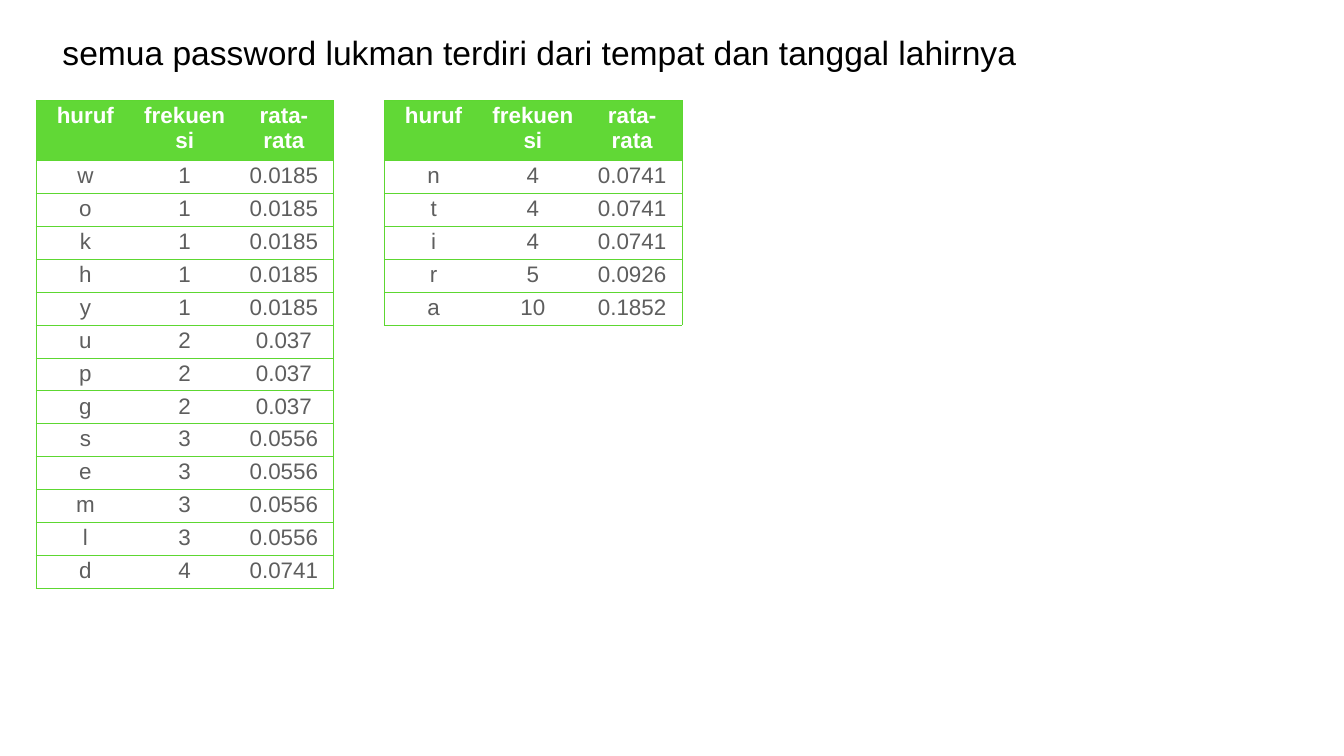
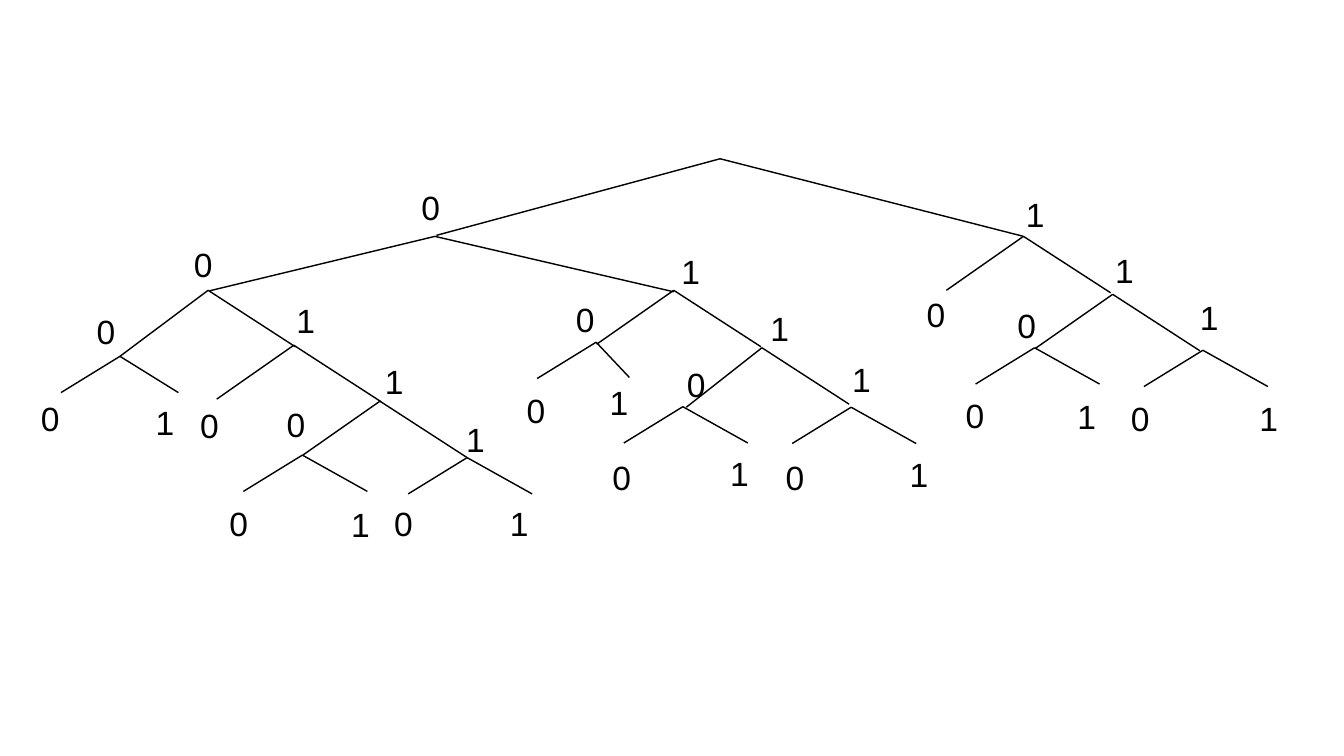
"""Build a letter-frequency slide and a binary code tree slide."""
from lxml import etree
from pptx import Presentation
from pptx import util as u
from pptx.dml.color import RGBColor
from pptx.enum import shapes, text
from pptx.oxml import ns

COLOURS = {"ink": "000000", "head": "61D836", "rule": "5DD731",
           "cell": "5E5E5E", "paper": "FFFFFF"}
FONT = "Arial"
HEADINGS = ("huruf", "frekuensi", "rata-rata")
LEFT_LETTERS = [
    ("w", "1", "0.0185"), ("o", "1", "0.0185"), ("k", "1", "0.0185"),
    ("h", "1", "0.0185"), ("y", "1", "0.0185"), ("u", "2", "0.037"),
    ("p", "2", "0.037"), ("g", "2", "0.037"), ("s", "3", "0.0556"),
    ("e", "3", "0.0556"), ("m", "3", "0.0556"), ("l", "3", "0.0556"),
    ("d", "4", "0.0741")]
RIGHT_LETTERS = [
    ("n", "4", "0.0741"), ("t", "4", "0.0741"), ("i", "4", "0.0741"),
    ("r", "5", "0.0926"), ("a", "10", "0.1852")]

BRANCH = ((-1.53, 1.07), (1.73, 1.12))
LEAF = ((-1.17, 0.72), (1.29, 0.72))
# Each fork: apex, arms (offsets to the two tips), places of the labels 0 and 1.
FORKS = [
    ((14.29, 3.15), ((-5.63, 1.52), (6.02, 1.54)), (8.3, 3.65), (20.3, 3.79)),
    ((8.63, 4.69), ((-4.47, 1.08), (4.74, 1.1)), (3.79, 4.78), (13.46, 4.91)),
    ((20.31, 4.69), BRANCH, (18.33, 5.77), (22.07, 4.9)),
    ((4.13, 5.76), ((-1.75, 1.31), BRANCH[1]), (1.86, 6.11), (5.82, 5.89)),
    ((13.37, 5.76), BRANCH, (11.37, 5.87), (15.23, 6.04)),
    ((22.08, 5.84), BRANCH, (20.13, 5.98), (23.75, 5.83)),
    ((2.38, 7.07), (LEAF[0], (1.16, 0.72)), (0.75, 7.83), (3.03, 7.91)),
    ((5.83, 6.85), BRANCH, (3.91, 7.97), (7.58, 7.11)),
    ((11.83, 6.79), (LEAF[0], (0.66, 0.7)), (10.39, 7.67), (12.04, 7.52)),
    ((15.12, 6.9), ((-1.5, 1.18), BRANCH[1]), (13.57, 7.16), (16.85, 7.07)),
    ((20.53, 6.9), LEAF, (19.1, 7.77), (21.32, 7.79)),
    ((23.87, 6.95), LEAF, (22.38, 7.83), (24.93, 7.83)),
    ((7.54, 7.96), BRANCH, (5.63, 7.95), (9.19, 8.25)),
    ((13.55, 8.07), LEAF, (12.09, 9), (14.43, 8.93)),
    ((16.89, 8.08), LEAF, (15.53, 9), (17.99, 8.95)),
    ((6, 9.03), LEAF, (4.49, 9.92), (6.91, 9.93)),
    ((9.27, 9.08), LEAF, (7.76, 9.92), (10.06, 9.92)),
]


class Painter:
    """Hold the deck, its style and the current page."""

    def __init__(self):
        """Open a wide deck."""
        self.deck = Presentation()
        self.deck.slide_width = u.Inches(26.67)
        self.deck.slide_height = u.Inches(15)
        self.page = None

    def new_page(self):
        """Start a blank page."""
        self.page = self.deck.slides.add_slide(self.deck.slide_layouts[6])

    def style(self, para, size, colour, bold=False):
        """Format every run of a paragraph."""
        for span in para.runs:
            span.font.name = FONT
            span.font.size = u.Pt(size)
            span.font.bold = bold
            span.font.color.rgb = RGBColor.from_string(COLOURS[colour])

    def label(self, words, left, top, width=0.67, wrap=True):
        """Place one line of large text."""
        box = self.page.shapes.add_textbox(
            u.Inches(left), u.Inches(top), u.Inches(width), u.Inches(0.92))
        frame = box.text_frame
        frame.word_wrap = wrap
        frame.auto_size = text.MSO_AUTO_SIZE.SHAPE_TO_FIT_TEXT
        frame.vertical_anchor = text.MSO_ANCHOR.MIDDLE
        frame.margin_left = frame.margin_right = u.Inches(0.06)
        frame.margin_top = frame.margin_bottom = u.Inches(0.06)
        frame.text = words
        self.style(frame.paragraphs[0], 48, "ink")

    def line(self, start, end):
        """Draw a straight black line."""
        link = self.page.shapes.add_connector(
            shapes.MSO_CONNECTOR.STRAIGHT, *map(u.Inches, start + end))
        link.line.color.rgb = RGBColor.from_string(COLOURS["ink"])
        link.line.width = u.Pt(2)
        etree.SubElement(link.element.spPr, ns.qn("a:effectLst"))

    def borders(self, cell, sides):
        """Rule the given sides of a cell and clear the others."""
        props = cell._tc.get_or_add_tcPr()
        for index, side in enumerate("LRTB"):
            edge = etree.Element(ns.qn(f"a:ln{side}"), w=str(u.Pt(0.75)))
            if side in sides:
                fill = etree.SubElement(edge, ns.qn("a:solidFill"))
                etree.SubElement(fill, ns.qn("a:srgbClr"), val=COLOURS["rule"])
            else:
                etree.SubElement(edge, ns.qn("a:noFill"))
            props.insert(index, edge)

    def table(self, records, left, top):
        """Place a table of letters under green headings."""
        lines = [HEADINGS, *records]
        heights = [1.17] + [0.63] * len(records)
        grid = self.page.shapes.add_table(
            len(lines), len(HEADINGS), u.Inches(left), u.Inches(top),
            u.Inches(5.91), u.Inches(sum(heights))).table
        grid.horz_banding = False
        for column in grid.columns:
            column.width = u.Inches(1.97)
        for row, values in enumerate(lines):
            grid.rows[row].height = u.Inches(heights[row])
            for column, value in enumerate(values):
                cell = grid.cell(row, column)
                cell.margin_top = cell.margin_bottom = u.Inches(0.06)
                cell.fill.solid()
                cell.fill.fore_color.rgb = RGBColor.from_string(
                    COLOURS["paper" if row else "head"])
                self.borders(cell, "TB" + {0: "L", 2: "R"}.get(column, ""))
                cell.text_frame.text = value
                para = cell.text_frame.paragraphs[0]
                para.alignment = text.PP_ALIGN.CENTER
                self.style(para, 32, "cell" if row else "paper", not row)

    def tree(self, forks):
        """Draw every fork, then its labels 0 and 1."""
        for (left, top), arms, *_ in forks:
            for across, down in arms:
                self.line((left, top), (left + across, top + down))
        for *_, zero, one in forks:
            self.label("0", *zero)
            self.label("1", *one)


def main():
    """Build both pages and save the deck."""
    painter = Painter()
    painter.new_page()
    painter.label("semua password lukman terdiri dari tempat dan tanggal lahirnya",
                  1.18, 0.57, 19.37, wrap=False)
    painter.table(RIGHT_LETTERS, 7.62, 1.99)
    painter.table(LEFT_LETTERS, 0.71, 1.99)
    painter.new_page()
    painter.tree(FORKS)
    painter.deck.save("out.pptx")


if __name__ == "__main__":
    main()
